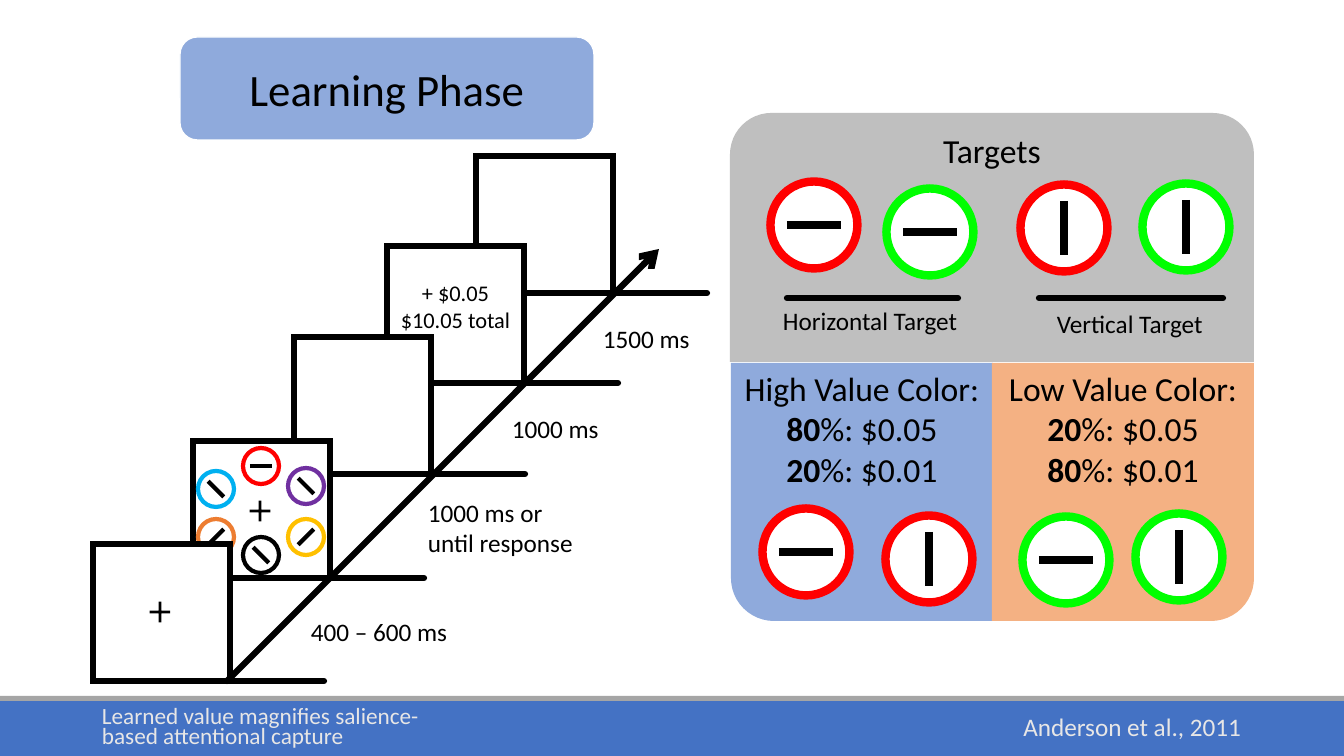
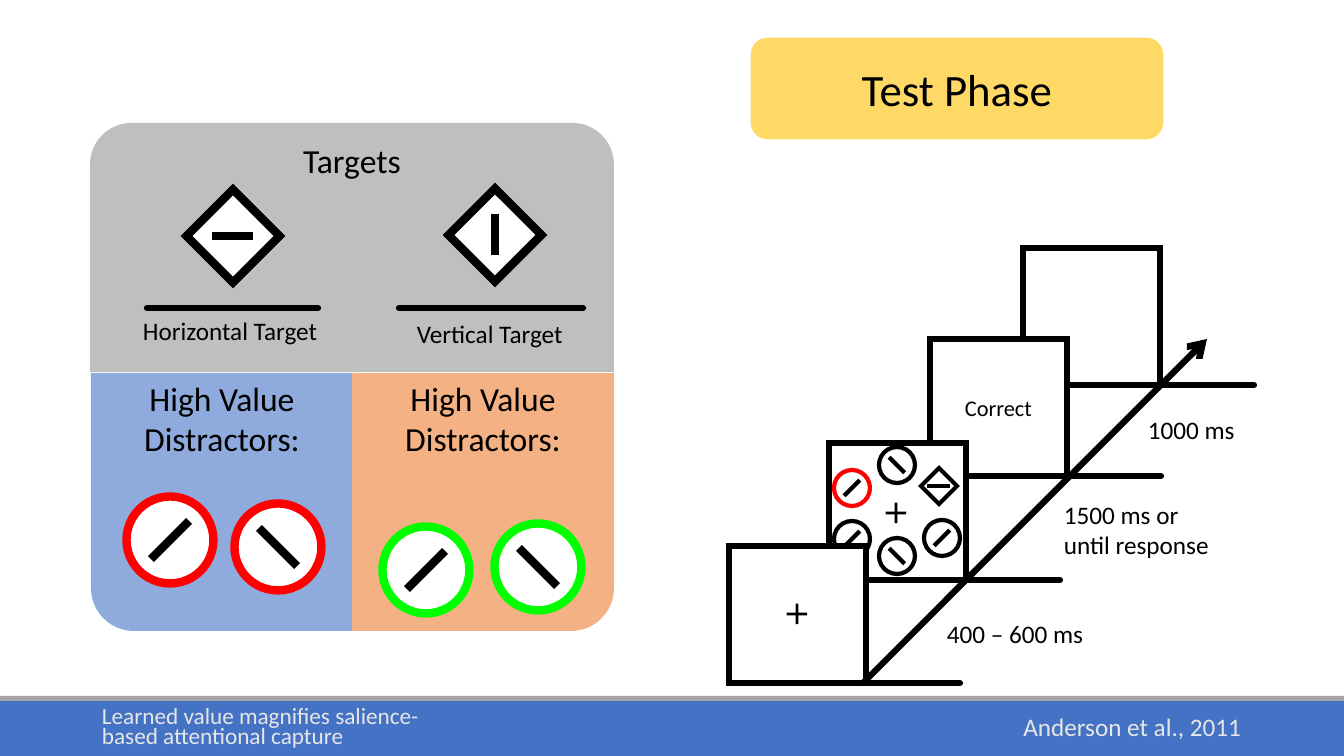
"""Build two slides on the learning and test phases of an attention experiment."""
from math import cos, radians, sin

from lxml.etree import SubElement
from pptx import Presentation
from pptx.dml.color import RGBColor
from pptx.enum.shapes import MSO_CONNECTOR, MSO_SHAPE
from pptx.enum.text import MSO_ANCHOR, PP_ALIGN
from pptx.oxml.ns import qn
from pptx.util import Emu, Pt

EMU_PER_PIXEL = 914400 / 100.8
WIDTH, HEIGHT = 1344, 756

THEME = {
    "font": "Calibri",
    "colors": {
        "black": "000000", "white": "FFFFFF", "band": "4472C4", "rule": "A5A5A5",
        "footer": "E7E6E6", "grey": "BFBFBF", "blue": "8FAADC", "peach": "F4B183",
        "yellow": "FFD966", "red": "FF0000", "green": "00FF00", "purple": "7030A0",
        "sky": "00B0F0", "orange": "ED7D31", "gold": "FFC000",
    },
    "sizes": {"title": 32, "heading": 24, "label": 18, "frame": 16, "citation": 16.6},
    "lines": {"title": 1, "small": 3, "frame": 4.5, "large": 6},
}

CENTER, LEFT, RIGHT = PP_ALIGN.CENTER, PP_ALIGN.LEFT, PP_ALIGN.RIGHT
TOP, MIDDLE = MSO_ANCHOR.TOP, MSO_ANCHOR.MIDDLE

TEXT_STYLES = {
    "title": {"size": "title", "align": CENTER, "anchor": MIDDLE},
    "heading": {"size": "heading", "align": CENTER, "anchor": TOP},
    "frame": {"size": "frame", "align": CENTER, "anchor": MIDDLE},
    "time": {"size": "label", "align": LEFT, "anchor": TOP},
    "target": {"size": "label", "align": LEFT, "anchor": TOP, "wrap": False},
    "source": {"size": "label", "align": RIGHT, "anchor": MIDDLE,
               "color": "footer", "spacing": 0.9},
    "citation": {"size": "citation", "align": LEFT, "anchor": MIDDLE,
                 "color": "footer", "spacing": 0.7},
}

STIMULI = {
    "circle": (MSO_SHAPE.OVAL, 87, 54, "large"),
    "diamond": (MSO_SHAPE.DIAMOND, 93, 41, "large"),
    "small circle": (MSO_SHAPE.OVAL, 36, 22, "small"),
    "small diamond": (MSO_SHAPE.DIAMOND, 36, 23, "small"),
}
FLAT, UPRIGHT, FALLING, RISING = 0, 90, 45, -45

FOOTER_BANDS = [("band", 701, 55), ("rule", 696, 5)]
FOOTER_TEXTS = [
    ("Anderson et al., 2011", 890, "source"),
    ("Learned value magnifies salience-based attentional capture", 92, "citation"),
]
TARGET_LABELS = [
    ("Horizontal Target", 43, 187, 197, 57, 228),
    ("Vertical Target", 317, 190, 167, 309, 493),
]
VALUE_PANELS = [
    {"fill": "blue", "left": 1, "rotation": 270, "vert": "vert", "flip": True},
    {"fill": "peach", "left": 262, "rotation": 90, "vert": "vert270", "flip": False},
]
FRAME_SIDE, BASELINE = 137, 94
FRAME_OFFSETS = [(0, 0), (100, -103), (201, -207), (294, -298), (383, -388)]

SLIDES = [
    {
        "title": ("Learning Phase", 180, "blue"),
        "sequence": (93, 544),
        "arrow": 432,
        "frames": [
            {"plus": (67, 68)},
            {"plus": (67, 70), "stimuli": [
                ("small circle", 68, 25, "red", FLAT),
                ("small circle", 113, 45, "purple", FALLING),
                ("small circle", 23, 48, "sky", FALLING),
                ("small circle", 23, 96, "orange", RISING),
                ("small circle", 113, 96, "gold", RISING),
                ("small circle", 68, 114, "black", FALLING),
            ]},
            {},
            {"text": ["+ $0.05", "$10.05 total"], "bottom": 21},
            {},
        ],
        "times": [
            ("400 – 600 ms", 208, 67, 158, 40),
            ("1000 ms or until response", 225, 51, 176, 71),
            ("1000 ms", 208, 71, 112, 40),
            ("1500 ms", 206, 72, 121, 40),
        ],
        "panel": (730, 113),
        "values": [
            ["High Value Color:", ("80", "%: $0.05"), ("20", "%: $0.01")],
            ["Low Value Color:", ("20", "%: $0.05"), ("80", "%: $0.01")],
        ],
        "stimuli": [
            ("circle", 84, 112, "red", FLAT),
            ("circle", 200, 119, "green", FLAT),
            ("circle", 334, 115, "red", UPRIGHT),
            ("circle", 456, 114, "green", UPRIGHT),
            ("circle", 76, 439, "red", FLAT),
            ("circle", 199, 446, "red", UPRIGHT),
            ("circle", 336, 447, "green", FLAT),
            ("circle", 449, 444, "green", UPRIGHT),
        ],
    },
    {
        "title": ("Test Phase", 750, "yellow"),
        "sequence": (729, 546),
        "arrow": 344,
        "frames": [
            {"plus": (68, 68)},
            {"plus": (67, 70), "stimuli": [
                ("small circle", 23, 45, "red", RISING),
                ("small diamond", 110, 43, "black", FLAT),
                ("small circle", 68, 22, "black", FALLING),
                ("small circle", 23, 96, "black", RISING),
                ("small circle", 113, 95, "black", RISING),
                ("small circle", 68, 113, "black", FALLING),
            ]},
            {"text": ["Correct"], "bottom": 5},
            {},
        ],
        "times": [
            ("400 – 600 ms", 208, 67, 158, 40),
            ("1500 ms or until response", 225, 51, 176, 71),
            ("1000 ms", 208, 70, 112, 40),
        ],
        "panel": (90, 123),
        "values": [["High Value Distractors:"], ["High Value Distractors:"]],
        "stimuli": [
            ("diamond", 143, 113, "black", FLAT),
            ("diamond", 405, 112, "black", UPRIGHT),
            ("circle", 80, 417, "red", RISING),
            ("circle", 188, 424, "red", FALLING),
            ("circle", 336, 447, "green", RISING),
            ("circle", 448, 444, "green", FALLING),
        ],
    },
]


def px(*lengths):
    return [Emu(round(length * EMU_PER_PIXEL)) for length in lengths]


def color(name):
    return RGBColor.from_string(THEME["colors"][name])


def apply(target, values):
    for name, value in values.items():
        setattr(target, name, value)


def set_line(shape, name, weight):
    shape.line.color.rgb = color(name)
    shape.line.width = Pt(THEME["lines"][weight])
    return shape.element.spPr.find(qn("a:ln"))


def add_shape(slide, preset, box, fill, outline=None):
    shape = slide.shapes.add_shape(preset, *px(*box))
    shape.shadow.inherit = False
    shape.fill.solid()
    shape.fill.fore_color.rgb = color(fill)
    if outline:
        SubElement(set_line(shape, *outline), qn("a:miter"), lim="800000")
    else:
        shape.line.fill.background()
    return shape


def add_line(slide, start, end, weight="frame", cap="rnd", arrow=False):
    connector = slide.shapes.add_connector(MSO_CONNECTOR.STRAIGHT, *px(*start, *end))
    line = set_line(connector, "black", weight)
    line.set("cap", cap)
    if arrow:
        SubElement(line, qn("a:tailEnd"), type="arrow")
    SubElement(connector.element.spPr, qn("a:effectLst"))


def write_text(shape, paragraphs, style_name):
    style = TEXT_STYLES[style_name]
    frame = shape.text_frame
    apply(frame, {"word_wrap": style.get("wrap", True), "vertical_anchor": style["anchor"]})
    for index, content in enumerate(paragraphs):
        paragraph = frame.add_paragraph() if index else frame.paragraphs[0]
        apply(paragraph, {"alignment": style["align"], "line_spacing": style.get("spacing")})
        bold, plain = content if isinstance(content, tuple) else ("", content)
        for text, is_bold in ((bold, True), (plain, False)):
            if text:
                run = paragraph.add_run()
                run.text = text
                apply(run.font, {"name": THEME["font"], "bold": is_bold,
                                 "size": Pt(THEME["sizes"][style["size"]])})
                run.font.color.rgb = color(style.get("color", "black"))


def add_text(slide, text, box, style_name):
    write_text(slide.shapes.add_textbox(*px(*box)), [text], style_name)


def add_stimulus(slide, origin, kind, dx, dy, outline, angle):
    preset, size, bar, weight = STIMULI[kind]
    x, y = origin[0] + dx, origin[1] + dy
    box = (x - size / 2, y - size / 2, size, size)
    add_shape(slide, preset, box, "white", (outline, weight))
    across, down = bar / 2 * cos(radians(angle)), bar / 2 * sin(radians(angle))
    add_line(slide, (x - across, y - down), (x + across, y + down), weight, "flat")


def add_frame(slide, x, y, content):
    box = (x, y, FRAME_SIDE, FRAME_SIDE)
    shape = add_shape(slide, MSO_SHAPE.RECTANGLE, box, "white", ("black", "frame"))
    if "text" in content:
        write_text(shape, content["text"], "frame")
        shape.text_frame.margin_bottom = px(content["bottom"])[0]
    for stimulus in content.get("stimuli", []):
        add_stimulus(slide, (x, y), *stimulus)
    if "plus" in content:
        dx, dy = content["plus"]
        plus_box = (x + dx - 14, y + dy - 14, 28, 28)
        plus = add_shape(slide, MSO_SHAPE.MATH_PLUS, plus_box, "black")
        plus.adjustments[0] = 0.1


def add_sequence(slide, content):
    left, top = content["sequence"]
    corners = [(left + dx, top + dy) for dx, dy in FRAME_OFFSETS[:len(content["frames"])]]
    for (x, y), frame in reversed(list(zip(corners, content["frames"]))):
        add_frame(slide, x, y, frame)
    for x, y in corners:
        right, bottom = x + FRAME_SIDE, y + FRAME_SIDE
        add_line(slide, (right, bottom), (right + BASELINE, bottom))
    start, reach = (left + 134, top + FRAME_SIDE), content["arrow"]
    add_line(slide, start, (start[0] + reach, start[1] - reach), arrow=True)
    for (x, y), (text, dx, dy, width, height) in zip(corners, content["times"]):
        add_text(slide, text, (x + dx, y + dy, width, height), "time")


def add_panel(slide, content):
    left, top = content["panel"]
    targets = add_shape(slide, MSO_SHAPE.ROUND_2_SAME_RECTANGLE, (left, top, 524, 249), "grey")
    write_text(targets, ["Targets"], "heading")
    for text, dx, dy, width, start, end in TARGET_LABELS:
        add_line(slide, (left + start, top + 185), (left + end, top + 185))
        add_text(slide, text, (left + dx, top + dy, width, 40), "target")
    for panel, paragraphs in zip(VALUE_PANELS, content["values"]):
        box = (left + panel["left"] + 2, top + 248, 258, 262)
        shape = add_shape(slide, MSO_SHAPE.ROUND_1_RECTANGLE, box, panel["fill"])
        shape.rotation = panel["rotation"]
        if panel["flip"]:
            shape.element.spPr.xfrm.set("flipH", "1")
        write_text(shape, paragraphs, "heading")
        shape.element.txBody.bodyPr.set("vert", panel["vert"])
    for stimulus in content["stimuli"]:
        add_stimulus(slide, (left, top), *stimulus)


def add_footer(slide):
    for fill, top, height in FOOTER_BANDS:
        add_shape(slide, MSO_SHAPE.RECTANGLE, (0, top, WIDTH, height), fill)
    for text, left, style_name in FOOTER_TEXTS:
        add_text(slide, text, (left, 701, 361, 55), style_name)


def add_title(slide, text, left, fill):
    box = (left, 37, 414, 103)
    shape = add_shape(slide, MSO_SHAPE.ROUNDED_RECTANGLE, box, fill, ("white", "title"))
    write_text(shape, [text], "title")


def main():
    presentation = Presentation()
    presentation.slide_width, presentation.slide_height = px(WIDTH, HEIGHT)
    for content in SLIDES:
        slide = presentation.slides.add_slide(presentation.slide_layouts[6])
        add_footer(slide)
        add_sequence(slide, content)
        add_title(slide, *content["title"])
        add_panel(slide, content)
    presentation.save("out.pptx")


if __name__ == "__main__":
    main()
